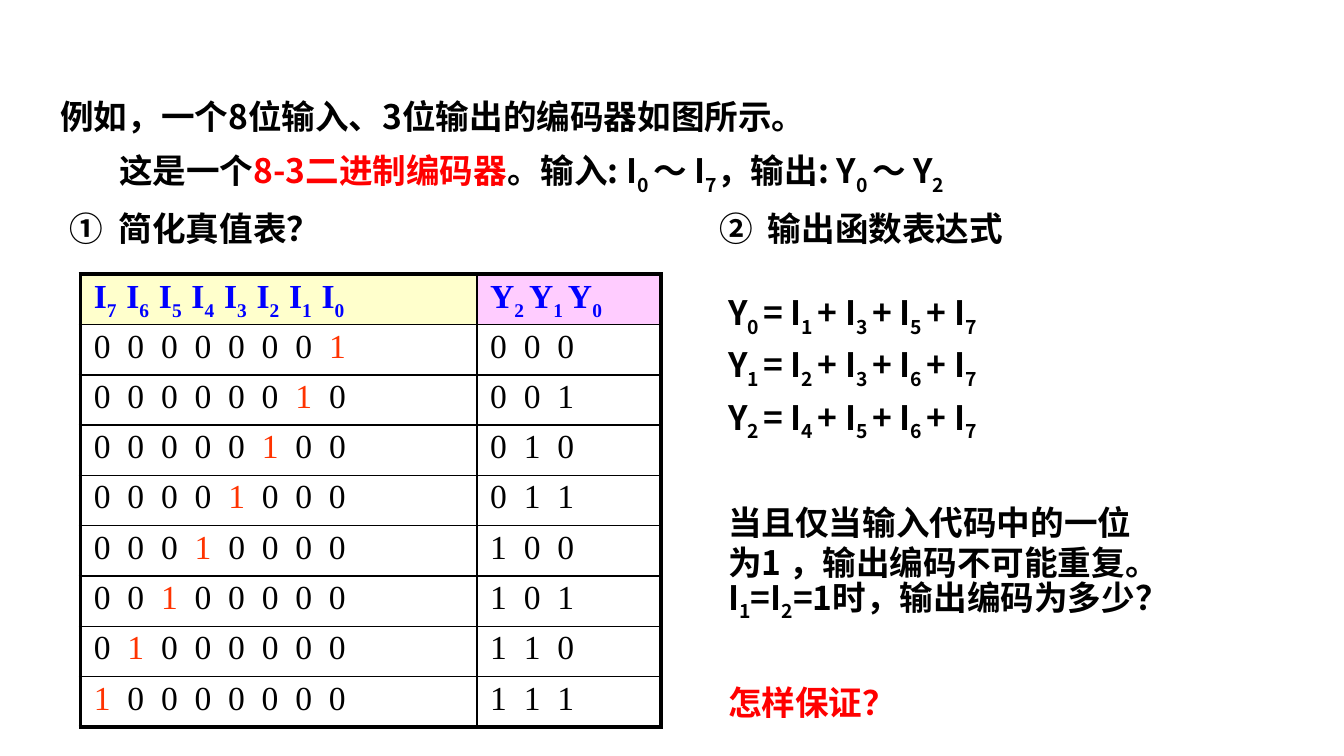
"""Build a slide on the 8-3 binary encoder: truth table and output functions."""
from lxml import etree
from pptx import Presentation
from pptx.dml.color import RGBColor
from pptx.enum.text import MSO_ANCHOR
from pptx.oxml.ns import qn
from pptx.util import Cm, Pt

MIDDLE = MSO_ANCHOR.MIDDLE
SANS, SERIF = "Noto Sans CJK JP", "Times New Roman"
BLACK, RED, ORANGE, BLUE = "000000", "FF0000", "FF3300", "0000FF"
YELLOW, PINK, WHITE = "FFFFCC", "FFCCFF", "FFFFFF"
SIZE, THICK, THIN = 18, 2.25, 1
BITS = 8

TITLE = [(BLACK, "例如，一个8位输入、3位输出的编码器如图所示。")]
INTRO = [(BLACK, "这是一个"), (RED, "8-3二进制编码器"),
         (BLACK, "。输入: I|0 |〜 I|7|，输出: Y|0 |〜 Y|2")]
TERMS = [(0, (1, 3, 5, 7)), (1, (2, 3, 6, 7)), (2, (4, 5, 6, 7))]
QUESTION = [(BLACK, "当且仅当输入代码中的一位为1 ，输出编码不可能重复。"
                    "I|1|=I|2|=1时，输出编码为多少？")]
HINT = [(RED, "怎样保证？")]
FORMULAS = [[(BLACK, f"Y|{y} |= " + " |+ ".join(f"I|{i}" for i in inputs))]
            for y, inputs in TERMS]

BOXES = [
    (0.89, 1.7, 22.6, 0.9, [(TITLE, 0)]),
    (2.0, 2.82, 23.0, 0.9, [(INTRO, 0)]),
    (1.07, 3.8, 8.23, 1.0, [([(BLACK, "①  简化真值表？")], 0)]),
    (13.34, 3.8, 8.69, 1.0, [([(BLACK, "②  输出函数表达式")], 0)]),
    (13.51, 5.5, 8.69, 8.7,
     list(zip(FORMULAS + [QUESTION, HINT], (0, 6.5, 6.5, 32, 32)))),
]
TABLE_LEFT, TABLE_TOP, ROW_H = 1.52, 5.18, 0.95
COL_W = (7.49, 3.48)


def rgb(value):
    return RGBColor.from_string(value)


def write(p, parts, font, bold):
    for color, markup in parts:
        for i, text in enumerate(markup.split("|")):
            r = p.add_run()
            r.text = text
            r.font.size, r.font.bold = Pt(SIZE), bold
            r.font.color.rgb = rgb(color)
            r.font.name = font
            rpr = r.font._element
            etree.SubElement(rpr, qn("a:ea"), typeface=font)
            if i % 2:
                rpr.set("baseline", "-25000")


def add_text(s, left, top, width, height, paragraphs):
    tf = s.shapes.add_textbox(Cm(left), Cm(top), Cm(width), Cm(height)).text_frame
    tf.word_wrap = True
    for i, (parts, before) in enumerate(paragraphs):
        p = tf.add_paragraph() if i else tf.paragraphs[0]
        p.line_spacing, p.space_before = Pt(21.5), Pt(before)
        write(p, parts, SANS, True)


def set_borders(cell, widths):
    tcpr = cell._tc.get_or_add_tcPr()
    for i, (side, width) in enumerate(zip("LRTB", widths)):
        ln = etree.Element(qn(f"a:ln{side}"), w=str(Pt(width)))
        fill = etree.SubElement(ln, qn("a:solidFill"))
        etree.SubElement(fill, qn("a:srgbClr"), val=BLACK)
        tcpr.insert(i, ln)


def table_rows():
    names = [[(BLUE, "  |".join(f"I|{i}" for i in reversed(range(BITS))))],
             [(BLUE, " |".join(f"Y|{i}" for i in (2, 1, 0)))]]
    rows = [names]
    for n in range(BITS):
        before, after = "0  " * (BITS - 1 - n), "  0" * n
        parts = [(BLACK, before), (ORANGE, "1"), (BLACK, after)]
        rows.append([[part for part in parts if part[1]],
                     [(BLACK, "  ".join(f"{n:03b}"))]])
    return rows


def add_truth_table(s):
    rows = table_rows()
    last = len(rows) - 1
    table = s.shapes.add_table(len(rows), 2, Cm(TABLE_LEFT), Cm(TABLE_TOP),
                               Cm(sum(COL_W)), Cm(ROW_H * len(rows))).table
    table.first_row = table.horz_banding = False
    for column, width in zip(table.columns, COL_W):
        column.width = Cm(width)
    for i, row in enumerate(rows):
        table.rows[i].height = Cm(ROW_H)
        for j, parts in enumerate(row):
            cell = table.cell(i, j)
            cell.margin_top = cell.margin_bottom = Cm(0.1)
            cell.vertical_anchor = MIDDLE
            cell.fill.solid()
            cell.fill.fore_color.rgb = rgb(WHITE if i else (YELLOW, PINK)[j])
            outer = (j == 0, j == 1, i == 0, i == last)
            set_borders(cell, [THICK if edge else THIN for edge in outer])
            p = cell.text_frame.paragraphs[0]
            p.line_spacing = 0.75
            write(p, parts, SERIF, i == 0)


def main():
    prs = Presentation()
    prs.slide_width, prs.slide_height = Cm(25.4), Cm(14.28)
    s = prs.slides.add_slide(prs.slide_layouts[6])
    add_truth_table(s)
    for box in BOXES:
        add_text(s, *box)
    prs.save("out.pptx")


if __name__ == "__main__":
    main()
